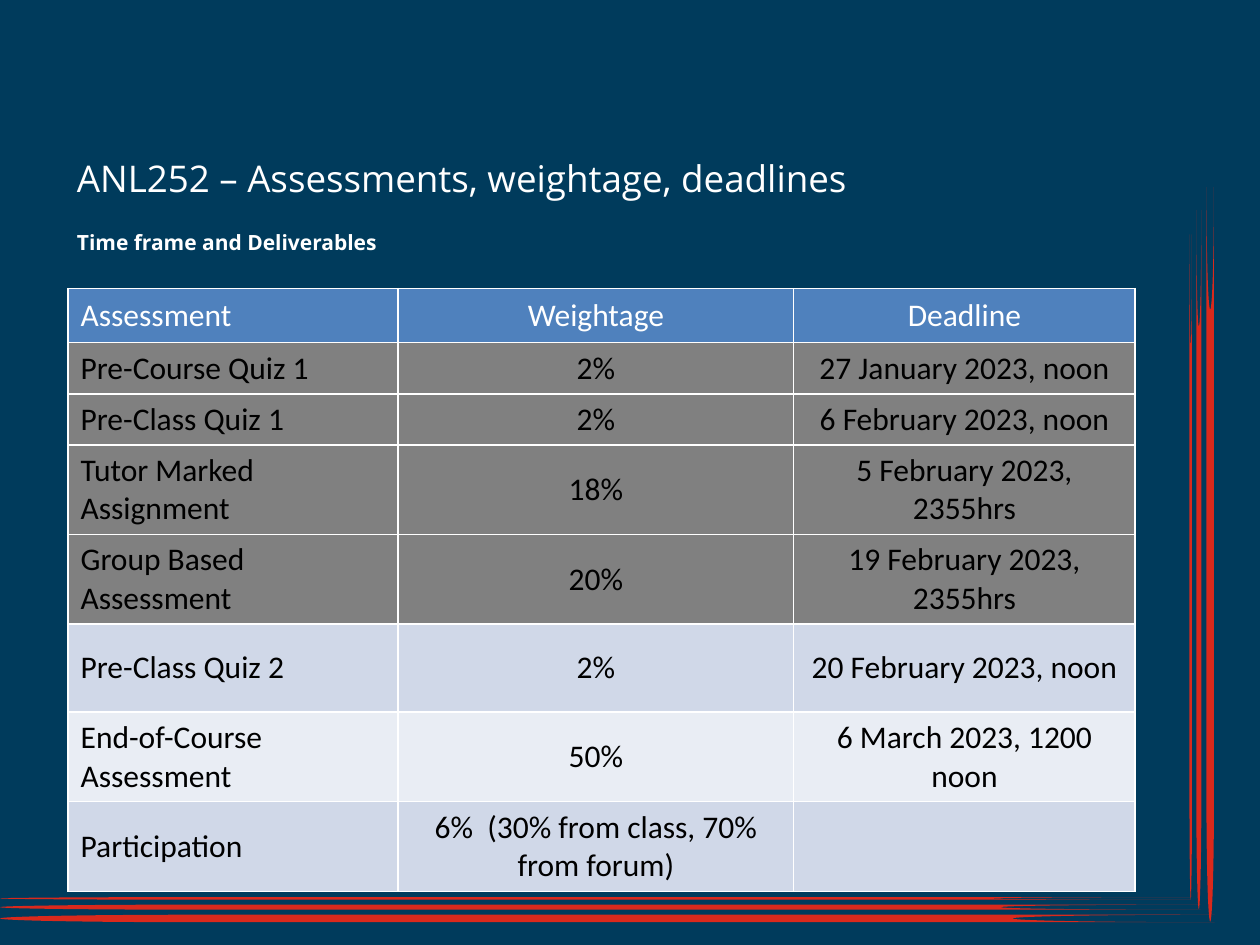
from pptx import Presentation
from pptx.dml.color import RGBColor
from pptx.enum.shapes import MSO_SHAPE
from pptx.enum.text import MSO_ANCHOR, MSO_AUTO_SIZE, PP_ALIGN
from pptx.util import Inches, Pt

TITLE = "ANL252 – Assessments, weightage, deadlines"
SUB = "Time frame and Deliverables"
NAVY, RED, WHITE, BLACK = "003B5C", "DA291C", "FFFFFF", "000000"
BLUE, GREY, PALE, LIGHT = "4F81BD", "808080", "D0D8E8", "E9EDF4"
WIDTHS = [2.62, 3.14, 2.71]
ROWS = [
    (0.43, BLUE, "Assessment", "Weightage", "Deadline"),
    (0.4, GREY, "Pre-Course Quiz 1", "2%", "27 January 2023, noon"),
    (0.4, GREY, "Pre-Class Quiz 1", "2%", "6 February 2023, noon"),
    (0.4, GREY, "Tutor Marked Assignment", "18%", "5 February 2023, 2355hrs"),
    (0.7, GREY, "Group Based Assessment", "20%", "19 February 2023, 2355hrs"),
    (0.7, PALE, "Pre-Class Quiz 2", "2%", "20 February 2023, noon"),
    (0.7, LIGHT, "End-of-Course Assessment", "50%", "6 March 2023, 1200 noon"),
    (0.4, PALE, "Participation", "6%  (30% from class, 70% from forum)", ""),
]
BARS = [
    (0, 7.12, 9.45, 0.02, 0),
    (0, 7.18, 9.53, 0.04, 0),
    (0, 7.26, 9.64, 0.06, 0),
    (6.81, 4.49, 5.28, 0.02, 270),
    (6.74, 4.42, 5.55, 0.04, 270),
    (6.69, 4.37, 5.83, 0.06, 270),
]


def paint(fill, color):
    fill.solid()
    fill.fore_color.rgb = RGBColor.from_string(color)


def style(para, size, face, color, bold=False, align=PP_ALIGN.LEFT):
    para.alignment = align
    font = para.font
    font.size, font.name, font.bold = Pt(size), face, bold
    font.color.rgb = RGBColor.from_string(color)


def write(shape, text, size, bold, anchor):
    frame = shape.text_frame
    frame.text = text
    frame.word_wrap = True
    frame.auto_size = MSO_AUTO_SIZE.NONE
    frame.vertical_anchor = anchor
    frame.margin_left = frame.margin_right = Inches(0.07)
    frame.margin_top = frame.margin_bottom = Inches(0.04)
    style(frame.paragraphs[0], size, "Open Sans", WHITE, bold)


def add_bar(slide, left, top, width, height, turn):
    bar = slide.shapes.add_shape(
        MSO_SHAPE.FLOWCHART_STORED_DATA,
        Inches(left), Inches(top), Inches(width), Inches(height))
    bar.rotation = turn
    bar.shadow.inherit = False
    paint(bar.fill, RED)
    bar.line.fill.background()


def add_grid(slide):
    grid = slide.shapes.add_table(
        len(ROWS), len(WIDTHS), Inches(0.54), Inches(2.29),
        Inches(sum(WIDTHS)), Inches(sum(row[0] for row in ROWS))).table
    for col, width in zip(grid.columns, WIDTHS):
        col.width = Inches(width)
    for r, (height, fill, *texts) in enumerate(ROWS):
        grid.rows[r].height = Inches(height)
        for c, text in enumerate(texts):
            cell = grid.cell(r, c)
            cell.text = text
            cell.vertical_anchor = MSO_ANCHOR.MIDDLE
            paint(cell.fill, fill)
            style(cell.text_frame.paragraphs[0], 18, "Calibri",
                  BLACK if r else WHITE,
                  align=PP_ALIGN.CENTER if c else PP_ALIGN.LEFT)


def main():
    """Build the assessment slide and save it."""
    deck = Presentation()
    deck.slide_width, deck.slide_height = Inches(10), Inches(7.5)
    slide = deck.slides.add_slide(deck.slide_layouts[5])
    paint(slide.background.fill, NAVY)
    for bar in BARS:
        add_bar(slide, *bar)
    title = slide.shapes.title
    title.left, title.top = Inches(0.54), Inches(1.16)
    title.width, title.height = Inches(6.79), Inches(0.5)
    write(title, TITLE, 21, False, MSO_ANCHOR.MIDDLE)
    sub = slide.shapes.add_textbox(
        Inches(0.54), Inches(1.78), Inches(6.19), Inches(0.25))
    write(sub, SUB, 12, True, MSO_ANCHOR.TOP)
    add_grid(slide)
    deck.save("out.pptx")


if __name__ == "__main__":
    main()
